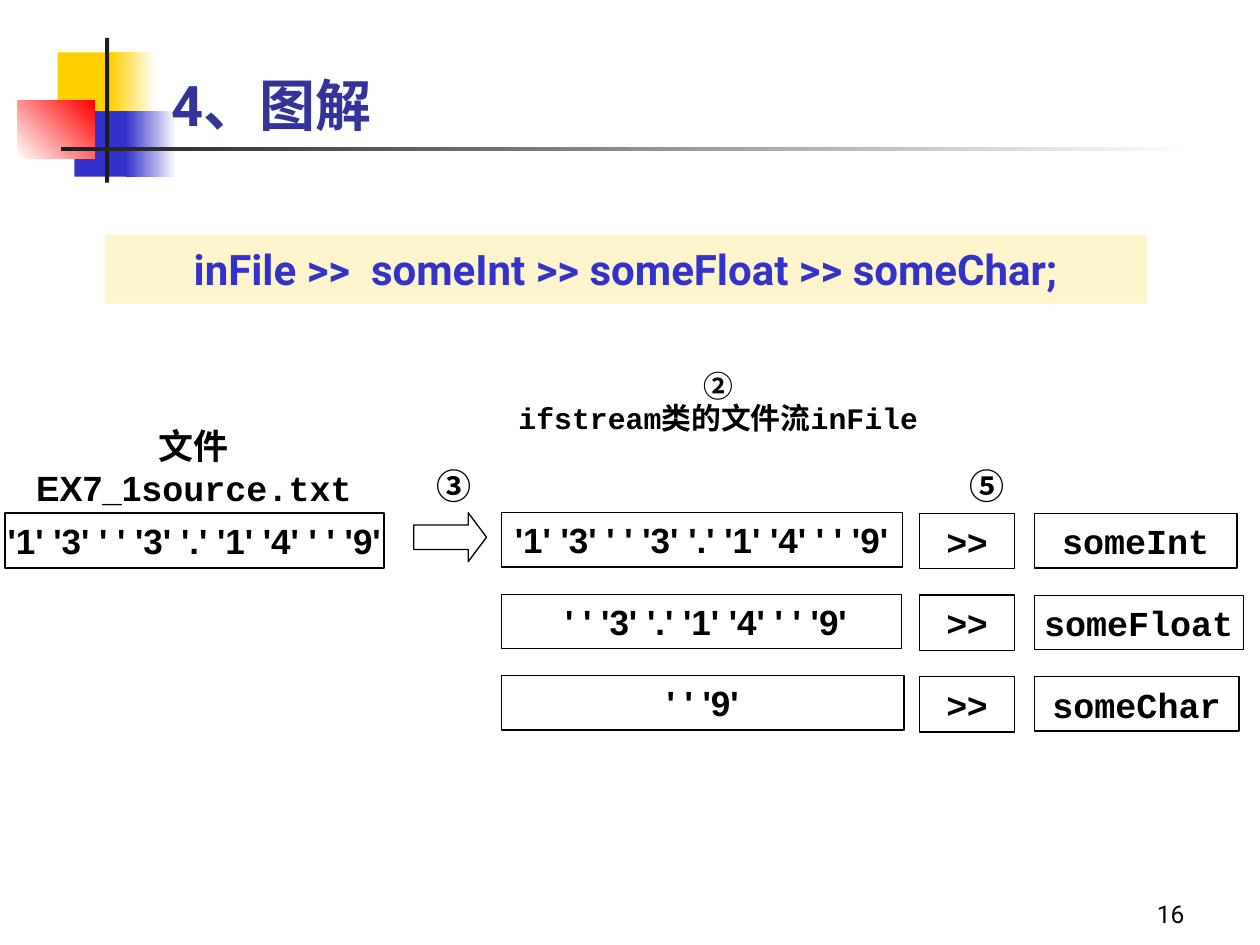
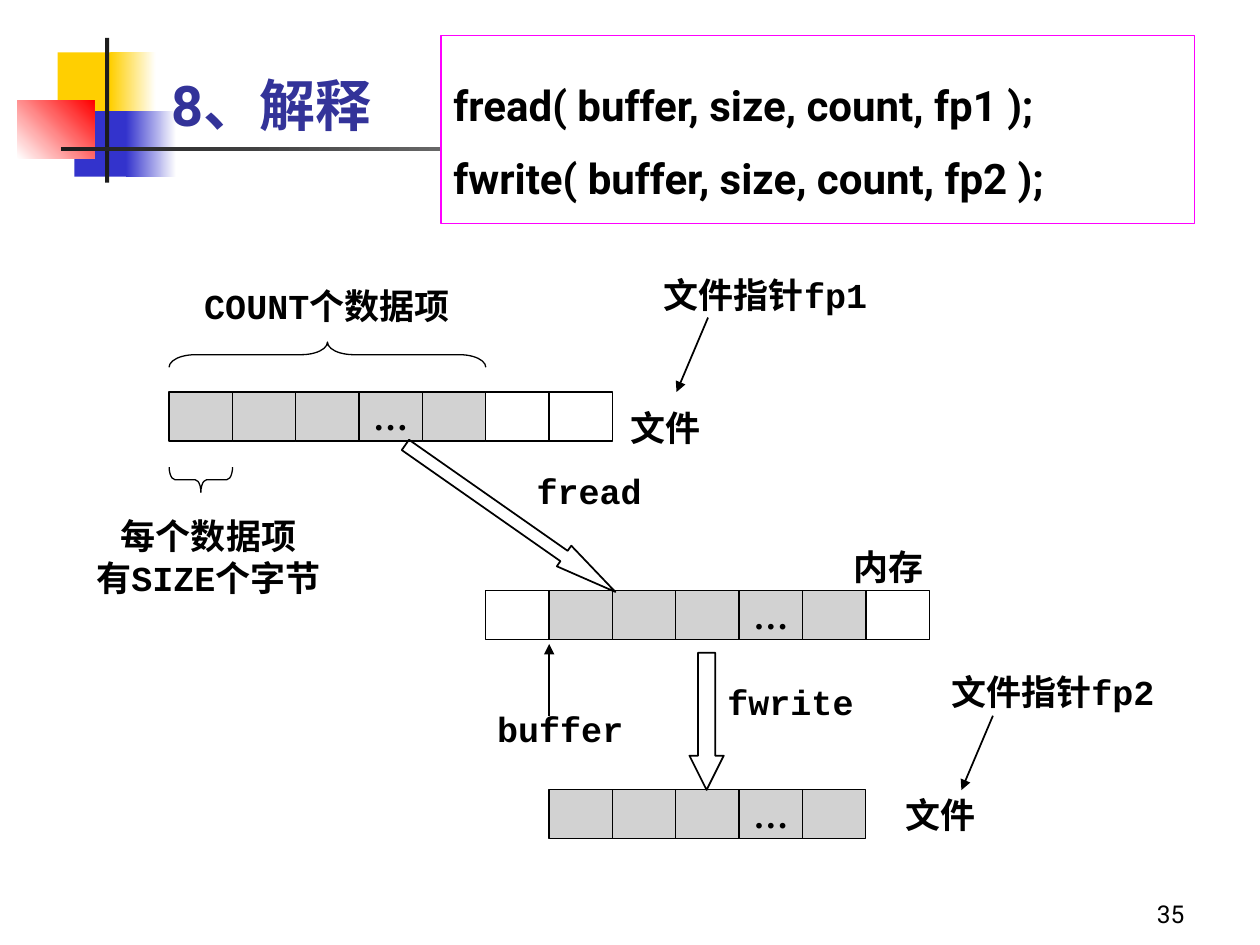
from lxml.etree import SubElement
from pptx import Presentation
from pptx.dml.color import RGBColor
from pptx.enum.shapes import MSO_CONNECTOR, MSO_SHAPE
from pptx.enum.text import MSO_ANCHOR, PP_ALIGN
from pptx.oxml.ns import qn
from pptx.util import Pt

BLACK = RGBColor(0x00, 0x00, 0x00)
WHITE = RGBColor(0xFF, 0xFF, 0xFF)
INK = RGBColor(0x1C, 0x1C, 0x1C)
GOLD = RGBColor(0xFF, 0xCF, 0x01)
BLUE = RGBColor(0x33, 0x33, 0xCC)
NAVY = RGBColor(0x33, 0x33, 0x99)
RED = RGBColor(0xFF, 0x00, 0x00)
PINK = RGBColor(0xFF, 0x00, 0xFF)
GRAY = RGBColor(0xC0, 0xC0, 0xC0)

SANS = "Arial"
MONO = "Courier New"
SERIF = "Times New Roman"
HEAD = "Roboto"
HAN = "Noto Sans CJK SC"

CELL_W, CELL_H, GRID_X = 36.2, 28, 96.6
PAD = (4.3, 2.2)


def write(shape, *paras, font=SANS, size=20, color=BLACK, bold=True,
          align=PP_ALIGN.CENTER, anchor=MSO_ANCHOR.MIDDLE, pad=(0, 0),
          gap=None, wrap=True):
    frame = shape.text_frame
    frame.word_wrap = wrap
    frame.vertical_anchor = anchor
    frame.margin_left = frame.margin_right = Pt(pad[0])
    frame.margin_top = frame.margin_bottom = Pt(pad[1])
    for i, runs in enumerate(paras):
        para = frame.add_paragraph() if i else frame.paragraphs[0]
        para.alignment = align
        if gap:
            para.line_spacing = gap
        for text, face in [(runs, font)] if isinstance(runs, str) else runs:
            run = para.add_run()
            run.text = text
            run.font.name = face
            run.font.size = Pt(size)
            run.font.bold = bold
            run.font.color.rgb = color
            SubElement(run.font._element, qn("a:ea"), typeface=HAN)


def draw(slide, box, kind=MSO_SHAPE.RECTANGLE, fill=None, alpha=None, fade=None,
         line=BLACK, width=0.75, turn=0, adjust=()):
    shape = slide.shapes.add_shape(kind, *map(Pt, box))
    shape.shadow.inherit = False
    shape.rotation = turn
    for i, value in enumerate(adjust):
        shape.adjustments[i] = value
    if fade:
        start, end, angle = fade
        shape.fill.gradient()
        shape.fill.gradient_angle = angle
        for stop, color in zip(shape.fill.gradient_stops, (start, end)):
            stop.color.rgb = color
    elif fill is not None:
        shape.fill.solid()
        shape.fill.fore_color.rgb = fill
        if alpha:
            tint = shape.fill._xPr.find(".//" + qn("a:srgbClr"))
            SubElement(tint, qn("a:alpha"), val=str(alpha * 1000))
    else:
        shape.fill.background()
    if line is None:
        shape.line.fill.background()
    else:
        shape.line.color.rgb = line
        shape.line.width = Pt(width)
    return shape


def label(slide, box, *paras, **style):
    write(slide.shapes.add_textbox(*map(Pt, box)), *paras, **style)


def arrow(slide, *ends):
    link = slide.shapes.add_connector(MSO_CONNECTOR.STRAIGHT, *map(Pt, ends))
    link.line.color.rgb = BLACK
    link.line.width = Pt(1)
    SubElement(link.line._get_or_add_ln(), qn("a:tailEnd"), type="triangle")
    SubElement(link._element.spPr, qn("a:effectLst"))


def cells(slide, col, top, marks):
    for i, mark in enumerate(marks, col):
        box = (GRID_X + i * CELL_W, top, CELL_W, CELL_H)
        fill = None if mark == "□" else GRAY
        cell = draw(slide, box, fill=fill, alpha=70)
        if mark == "…":
            write(cell, mark, font=SERIF)


def base(deck, title, number):
    slide = deck.slides.add_slide(deck.slide_layouts[6])
    for box, look in (
        ((33, 30, 34.5, 37.5), {"fill": GOLD}),
        ((63, 30, 26, 37.5), {"fade": (GOLD, WHITE, 0)}),
        ((42.5, 63.5, 33, 37.5), {"fill": BLUE}),
        ((72, 63.5, 28.8, 37.5), {"fade": (BLUE, WHITE, 0)}),
        ((10, 57.5, 44, 33.2), {"fade": (WHITE, RED, 45)}),
        ((60, 21.6, 2.4, 82.8), {"fill": INK}),
        ((34.6, 83.8, 648, 2.4), {"fade": (INK, WHITE, 0)}),
    ):
        draw(slide, box, line=None, **look)
    label(slide, (534, 498, 150, 36), number, font=HEAD, size=14, bold=False,
          align=PP_ALIGN.RIGHT, anchor=MSO_ANCHOR.BOTTOM, pad=(7.2, 3.6))
    label(slide, (90.7, 26, 613.5, 56), title, font=HEAD, size=32, color=NAVY,
          align=PP_ALIGN.LEFT, anchor=MSO_ANCHOR.BOTTOM, pad=(7.2, 3.6))
    return slide


def stream(deck):
    slide = base(deck, "4、图解", "16")
    source = "'1' '3' ' ' '3' '.' '1' '4' ' ' '9'"
    write(draw(slide, (2.9, 293, 216.7, 31.7), width=1), source)
    rows = (
        (source, 229, "someInt", 116),
        (" ' ' '3' '.' '1' '4' ' ' '9'", 228.5, "someFloat", 119.5),
        ("' ' '9'", 230, "someChar", 117),
    )
    for i, (data, wide, name, span) in enumerate(rows):
        top = 293 + 46.6 * i
        write(draw(slide, (286.6, top, wide, 31)), data)
        write(draw(slide, (525.6, top + 0.4, 54, 31.7)), ">>")
        write(draw(slide, (591, top + 0.6, span, 31)), name, font=MONO)
    draw(slide, (236.4, 293, 41.6, 28), MSO_SHAPE.RIGHT_ARROW,
         adjust=(0.5, 0.373))
    label(slide, (8.6, 240.5, 204.5, 52),
          [("文件EX7_1", SANS), ("source.txt", MONO)])
    label(slide, (268.6, 210.5, 283.7, 41), "②",
          [("ifstream", MONO), ("类的文件流", SANS), ("inFile", MONO)],
          font=HAN, size=17, gap=0.9)
    for left, mark in ((537, "⑤"), (232.6, "③")):
        label(slide, (left, 261.4, 54, 31.7), mark, font=HAN)
    band = draw(slide, (59.8, 134, 595.4, 39.6), fill=GOLD, alpha=20, line=None)
    write(band, "inFile >>  someInt >> someFloat >> someChar;", font=HEAD,
          size=24, color=BLUE, pad=(7.2, 3.6), wrap=False)


def block(deck):
    slide = base(deck, "8、解释", "35")
    draw(slide, (107.6, 256, 14.4, 36.2), MSO_SHAPE.LEFT_BRACE, turn=270,
         adjust=(0.23, 0.5))
    draw(slide, (179.9, 112.2, 14.4, 181), MSO_SHAPE.LEFT_BRACE, turn=90,
         adjust=(1.04, 0.5))
    for col, top, marks in ((0, 224, "■■■…■□□"), (5, 337.6, "□■■■…■□"),
                            (6, 451.2, "■■■…■")):
        cells(slide, col, top, marks)
    draw(slide, (284.5, 223, 14.4, 146.5), MSO_SHAPE.DOWN_ARROW, width=1,
         turn=305, adjust=(0.5, 2.488))
    draw(slide, (394, 373, 19.6, 78.4), MSO_SHAPE.DOWN_ARROW, width=1,
         adjust=(0.5, 1))
    for ends in ((313.8, 409, 313.8, 368), (404.6, 181.5, 386.6, 224),
                 (567.4, 409, 549.4, 451.5)):
        arrow(slide, *ends)
    for box, text, font in (
        ((273, 402.5, 94.3, 27.4), "buffer", MONO),
        ((350, 224, 60.5, 41), "文件", SERIF),
        ((477.4, 304, 60.5, 39.6), "内存", SERIF),
        ((296, 266.4, 81.4, 28), "fread", MONO),
        ((404.6, 380.2, 94.3, 41), "fwrite", MONO),
        ((367.2, 153.4, 140.4, 29.5), "文件指针fp1", MONO),
        ((531.4, 380.2, 140.4, 29.5), "文件指针fp2", MONO),
        ((507, 451.5, 60.5, 28), "文件", SERIF),
    ):
        label(slide, box, text, font=font, pad=PAD)
    label(slide, (42.5, 284.4, 153.4, 67), "每个数据项",
          [("有", SERIF), ("SIZE", MONO), ("个字节", SERIF)],
          font=SERIF, pad=PAD)
    label(slide, (96.5, 153.4, 180.7, 42.5),
          [("COUNT", MONO), ("个数据项", SERIF)], pad=PAD)
    code = draw(slide, (252, 20.4, 430.6, 107.3), fill=WHITE, line=PINK)
    write(code, "fread( buffer, size, count, fp1 );",
          "fwrite( buffer, size, count, fp2 );", font=HEAD, size=24,
          align=PP_ALIGN.LEFT, pad=(7.2, 3.6), gap=1.45)


def main():
    deck = Presentation()
    deck.slide_width, deck.slide_height = Pt(720), Pt(540)
    stream(deck)
    block(deck)
    deck.save("out.pptx")


if __name__ == "__main__":
    main()
